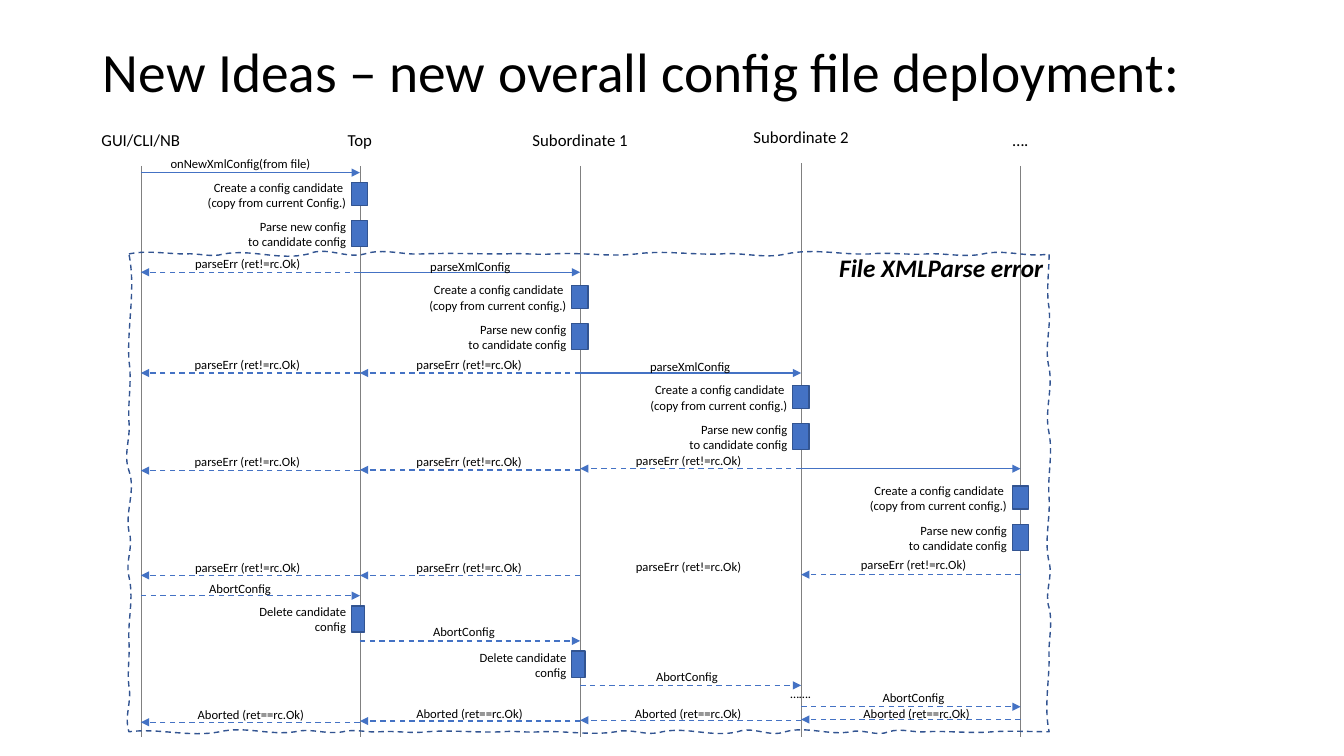
from copy import deepcopy
from dataclasses import dataclass

from lxml.etree import SubElement
from pptx import Presentation
from pptx.dml.color import RGBColor
from pptx.enum.dml import MSO_LINE
from pptx.enum.shapes import MSO_CONNECTOR, MSO_SHAPE
from pptx.enum.text import MSO_ANCHOR as Anchor, MSO_AUTO_SIZE as AutoSize, PP_ALIGN as Align
from pptx.oxml.ns import qn
from pptx.util import Cm, Pt


@dataclass(frozen=True)
class Theme:
    font: str = "Calibri"
    ink: RGBColor = RGBColor(0x00, 0x00, 0x00)
    lifeline: RGBColor = RGBColor(0x80, 0x80, 0x80)
    accent: RGBColor = RGBColor(0x44, 0x72, 0xC4)
    edge: RGBColor = RGBColor(0x32, 0x54, 0x91)
    title: float = 39.6
    heading: float = 18
    actor: float = 12
    label: float = 9


THEME = Theme()

# Content; all lengths in cm
TITLE = "New Ideas – new overall config file deployment:"
FRAME_TITLE = "File XMLParse error"

# name, lifeline x, lifeline top, name width
ACTORS = [
    ("GUI/CLI/NB", 3.55, 4.18, 2.51),
    ("Top", 9.07, 4.19, 1.14),
    ("Subordinate 1", 14.62, 4.18, 2.95),
    ("Subordinate 2", 20.19, 4.11, 2.95),
    ("….", 25.72, 4.18, 0.91),
]
GUI, TOP, SUB1, SUB2, MORE = range(5)
LIFELINE_END = 18.57

ON_NEW, PARSE = "onNewXmlConfig(from file)", "parseXmlConfig"
ERROR, ABORT, ABORTED = "parseErr (ret!=rc.Ok)", "AbortConfig", "Aborted (ret==rc.Ok)"
LABEL_WIDTHS = {ON_NEW: 4.09, PARSE: 2.57, ERROR: 3.2, ABORT: 2.08, ABORTED: 3.23, "…….": 1.04}

# source, target, height of the arrow
CALLS = [(GUI, TOP, 4.35), (TOP, SUB1, 6.86), (SUB1, SUB2, 9.4), (SUB2, MORE, 11.81)]
DASHED = [
    (TOP, GUI, 6.86),
    (TOP, GUI, 9.4), (SUB1, TOP, 9.4),
    (TOP, GUI, 11.86), (SUB1, TOP, 11.84), (SUB2, SUB1, 11.81),
    (TOP, GUI, 14.5), (SUB1, TOP, 14.5), (MORE, SUB2, 14.48),
    (GUI, TOP, 15.01), (TOP, SUB1, 16.15), (SUB1, SUB2, 17.27), (SUB2, MORE, 17.81),
    (TOP, GUI, 18.2), (SUB1, TOP, 18.17), (SUB2, SUB1, 18.15), (MORE, SUB2, 18.13),
]

# text, centre, top
LABELS = [
    (ON_NEW, 6.06, 3.8),
    (ERROR, 6.24, 6.32), (PARSE, 11.85, 6.4),
    (ERROR, 6.23, 8.86), (ERROR, 11.82, 8.86), (PARSE, 17.39, 8.92),
    (ERROR, 6.23, 11.31), (ERROR, 11.82, 11.32), (ERROR, 17.35, 11.29),
    (ERROR, 6.24, 13.98), (ERROR, 11.82, 13.98), (ERROR, 17.35, 13.96), (ERROR, 23.02, 13.92),
    (ABORT, 6.05, 14.52), (ABORT, 11.69, 15.6), (ABORT, 17.31, 16.72), (ABORT, 23.02, 17.26),
    (ABORTED, 6.32, 17.69), (ABORTED, 11.83, 17.67), (ABORTED, 17.34, 17.67), (ABORTED, 23.1, 17.67),
    ("…….", 20.18, 17.17),
]

# kind: box width, box height, rise of the text above the box, text width, wrap
STEP_KINDS = {
    "create": (0.41, 0.58, 0.2, 4.01, False),
    "parse": (0.41, 0.66, 0.17, 3.02, False),
    "delete": (0.33, 0.66, 0.17, 3.02, True),
}
CREATE_TEXT = "Create a config candidate \n(copy from current {}.)"
PARSE_TEXT = "Parse new config\nto candidate config"
PARSE_DROP = 0.96

# actor, top of the "create" box, word in its text
CANDIDATES = [(TOP, 4.6, "Config"), (SUB1, 7.19, "config"), (SUB2, 9.71, "config"), (MORE, 12.25, "config")]
DELETES = [(TOP, 15.27), (SUB1, 16.41)]

# Wavy frame: per side, (end of wave, first bend, second bend)
LEFT, UPPER, RIGHT, LOWER = 3.25, 6.4, 26.44, 18.44
UPPER_WAVES = [
    (4.67, -0.1, 0), (5.64, -0.03, 0.1), (7.77, -0.13, 0.18), (9.19, -0.2, 0.13),
    (10.62, -0.15, 0.03), (12.73, -0.03, 0), (13.92, -0.03, 0.03), (16.03, -0.05, 0.08),
    (18.16, -0.1, 0.03), (19.81, -0.05, 0.13), (21.92, -0.15, 0.03), (23.34, -0.05, 0.03),
    (24.77, -0.03, 0.1), (RIGHT, -0.13, 0.1),
]
RIGHT_WAVES = [
    (7.77, 0, -0.08), (9.27, 0.05, -0.13), (10.92, 0.1, -0.13), (12.55, 0.1, -0.05),
    (14.17, 0.03, -0.13), (15.32, 0.1, -0.13), (16.59, 0.1, -0.03), (LOWER, 0, -0.13),
]
LOWER_WAVES = [
    (25.02, 0, -0.03), (23.34, 0.05, -0.03), (22.4, 0.03, -0.1), (21.44, 0.13, -0.08),
    (19.79, 0.1, -0.15), (18.59, 0.15, -0.15), (16.69, 0.15, -0.13), (15.52, 0.13, -0.1),
    (13.61, 0.1, -0.03), (12.65, 0.03, -0.03), (10.77, 0.03, -0.05), (9.58, 0.05, -0.03),
    (8.64, 0.03, -0.08), (7.44, 0.08, -0.1), (5.54, 0.1, -0.15), (LEFT, 0.15, -0.1),
]
LEFT_WAVES = [
    (17.3, -0.13, 0.08), (16.15, -0.05, 0.03), (14.53, -0.03, 0.13), (13.39, -0.1, 0.13),
    (11.86, -0.1, 0.18), (10.62, -0.15, 0.05), (9.09, -0.03, 0.08), (UPPER, -0.05, 0.18),
]


def assign(target, values):
    for name, value in values.items():
        setattr(target, name, value)


def write(shape, text, size, align, frame_format, **font_format):
    assign(shape.text_frame, frame_format)
    para = shape.text_frame.paragraphs[0]
    para.text = text
    para.alignment = align
    for span in para.runs:
        assign(span.font, {"name": THEME.font, "size": Pt(size), **font_format})
        span.font.color.rgb = THEME.ink
    for line_break in para._p.findall(qn("a:br")):
        line_break.insert(0, deepcopy(para.runs[0]._r.rPr))
    return para


def add_text(page, text, left, top, width, height, size, align=Align.CENTER, wrap=False, **font_format):
    box = page.shapes.add_textbox(Cm(left), Cm(top), Cm(width), Cm(height))
    frame_format = {"word_wrap": wrap, "auto_size": AutoSize.SHAPE_TO_FIT_TEXT}
    write(box, text, size, align, frame_format, **font_format)


def set_line(shape, color, width, dashed=False):
    shape.line.color.rgb = color
    shape.line.width = Pt(width)
    if dashed:
        shape.line.dash_style = MSO_LINE.DASH


def add_line(page, start, end, color, width, dashed=False, arrow=False):
    line = page.shapes.add_connector(MSO_CONNECTOR.STRAIGHT, *map(Cm, (*start, *end)))
    set_line(line, color, width, dashed)
    properties = line._element.spPr
    if arrow:
        SubElement(properties.find(qn("a:ln")), qn("a:tailEnd"), type="triangle")
    SubElement(properties, qn("a:effectLst"))


def add_step(page, actor, top, kind, text):
    width, height, rise, text_width, wrap = STEP_KINDS[kind]
    x = ACTORS[actor][1]
    box = page.shapes.add_shape(MSO_SHAPE.RECTANGLE, Cm(x - 0.21), Cm(top), Cm(width), Cm(height))
    box.shadow.inherit = False
    box.fill.solid()
    box.fill.fore_color.rgb = THEME.accent
    set_line(box, THEME.edge, 1)
    add_text(page, text, x - 0.1 - text_width, top - rise, text_width, 1.02, THEME.label, Align.RIGHT, wrap)


def add_wavy_frame(page):
    # Each wave: its end point and two bends across the side
    waves = [((x, UPPER), (0, a), (0, b)) for x, a, b in UPPER_WAVES]
    waves += [((RIGHT, y), (a, 0), (b, 0)) for y, a, b in RIGHT_WAVES]
    waves += [((x, LOWER), (0, a), (0, b)) for x, a, b in LOWER_WAVES]
    waves += [((LEFT, y), (a, 0), (b, 0)) for y, a, b in LEFT_WAVES]
    builder = page.shapes.build_freeform(Cm(LEFT), Cm(UPPER))
    builder.add_line_segments([(Cm(x), Cm(y)) for (x, y), _, _ in waves], close=True)
    frame = builder.convert_to_shape()

    # Turn the straight segments into curves with control points at the thirds
    start = (LEFT, UPPER)
    for segment, (end, *bends) in zip(list(frame._element.iter(qn("a:lnTo"))), waves):
        segment.tag = qn("a:cubicBezTo")
        for third, bend in enumerate(bends, 1):
            x, y = (p + (q - p) * third / 3 + off for p, q, off in zip(start, end, bend))
            control = segment.makeelement(qn("a:pt"), x=str(Cm(x - LEFT)), y=str(Cm(y - UPPER)))
            segment.insert(third - 1, control)
        start = end
    frame.shadow.inherit = False
    frame.fill.background()
    set_line(frame, THEME.edge, 1, dashed=True)


def main():
    deck = Presentation()
    assign(deck, {"slide_width": Cm(33.87), "slide_height": Cm(19.05)})
    page = deck.slides.add_slide(deck.slide_layouts[5])

    # Title
    title = page.shapes.title
    assign(title, {"left": Cm(2.34), "top": Cm(1.02), "width": Cm(30.96), "height": Cm(1.73)})
    title_format = {"word_wrap": True, "auto_size": AutoSize.NONE, "vertical_anchor": Anchor.MIDDLE}
    write(title, TITLE, THEME.title, Align.LEFT, title_format).line_spacing = 0.9

    # Actors and lifelines
    for name, x, top, width in ACTORS:
        add_line(page, (x, top), (x, LIFELINE_END), THEME.lifeline, 0.5)
        add_text(page, name, x - width / 2, top - 1.04, width, 0.81, THEME.actor)

    # Messages
    for messages, dashed in ((CALLS, False), (DASHED, True)):
        for source, target, y in messages:
            ends = (ACTORS[source][1], y), (ACTORS[target][1], y)
            add_line(page, *ends, THEME.accent, 1, dashed, arrow=True)
    for text, centre, top in LABELS:
        width = LABEL_WIDTHS[text]
        add_text(page, text, centre - width / 2, top, width, 0.64, THEME.label)

    # Steps on the lifelines
    for actor, top, word in CANDIDATES:
        add_step(page, actor, top, "create", CREATE_TEXT.format(word))
        add_step(page, actor, top + PARSE_DROP, "parse", PARSE_TEXT)
    for actor, top in DELETES:
        add_step(page, actor, top, "delete", "Delete candidate config")

    # Error frame
    add_wavy_frame(page)
    add_text(page, FRAME_TITLE, 20.9, 6.24, 5.72, 1.02, THEME.heading, Align.LEFT, bold=True, italic=True)

    deck.save("out.pptx")


if __name__ == "__main__":
    main()
